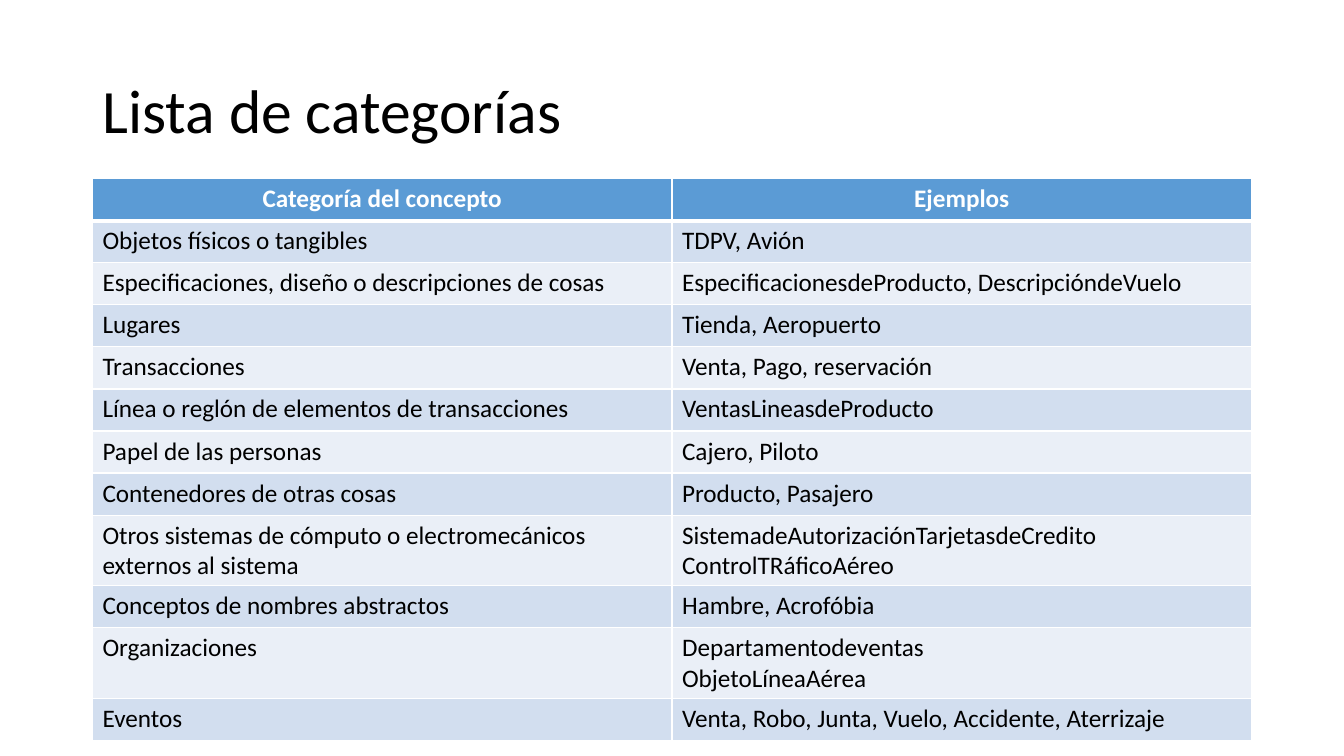
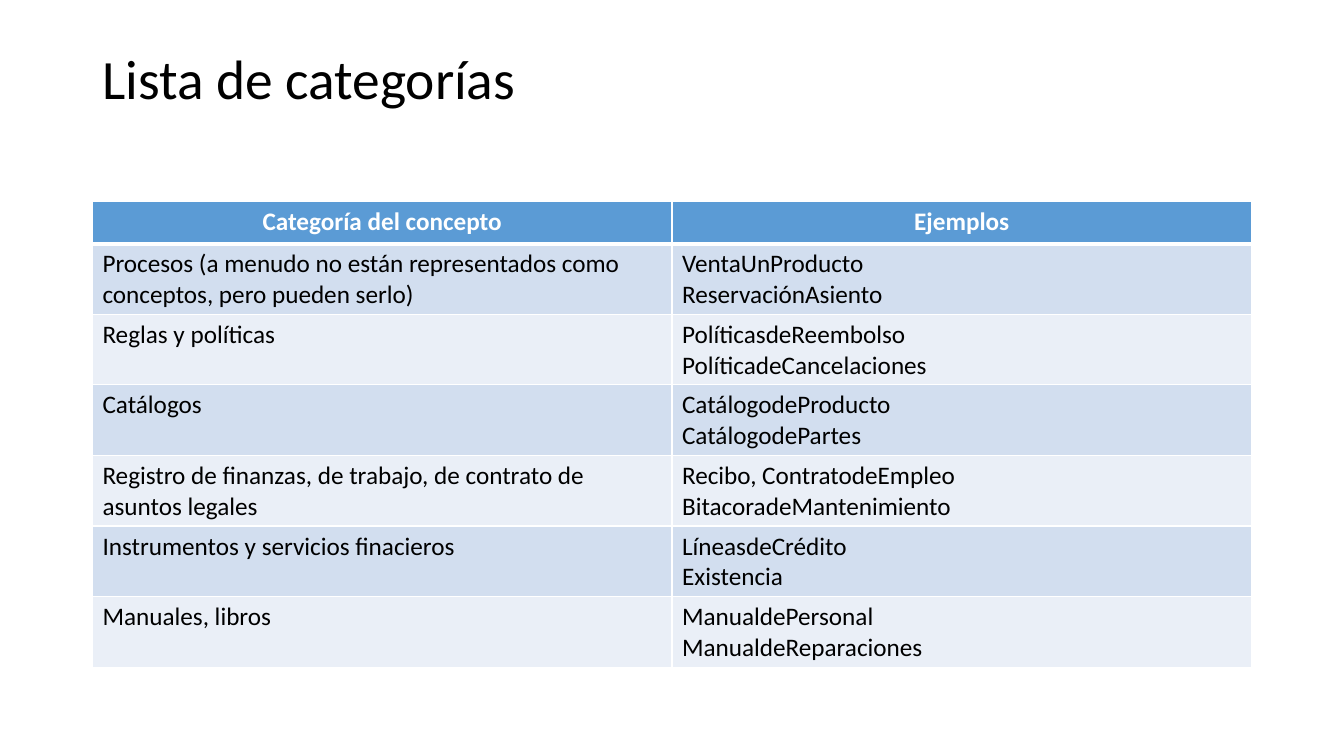
import pptx
import pptx.dml.color
import pptx.enum.text
import pptx.oxml
import pptx.oxml.ns
import pptx.util
from pptx.util import Cm

RGBColor = pptx.dml.color.RGBColor
PP_ALIGN = pptx.enum.text.PP_ALIGN

BLACK = RGBColor(0x00, 0x00, 0x00)
WHITE = RGBColor(0xFF, 0xFF, 0xFF)
HEADER_BLUE = RGBColor(0x5B, 0x9B, 0xD5)
BAND_DARK = RGBColor(0xD2, 0xDE, 0xEF)
BAND_LIGHT = RGBColor(0xEA, 0xEF, 0xF7)

TITLE = "Lista de categorías"
HEADER = ("Categoría del concepto", "Ejemplos")

# A line break in a cell starts a new paragraph
FIRST_ROWS = [
    ("Objetos físicos o tangibles", "TDPV, Avión"),
    ("Especificaciones, diseño o descripciones de cosas",
     "EspecificacionesdeProducto, DescripcióndeVuelo"),
    ("Lugares", "Tienda, Aeropuerto"),
    ("Transacciones", "Venta, Pago, reservación"),
    ("Línea o reglón de elementos de transacciones", "VentasLineasdeProducto"),
    ("Papel de las personas", "Cajero, Piloto"),
    ("Contenedores de otras cosas", "Producto, Pasajero"),
    ("Otros sistemas de cómputo o electromecánicos externos al sistema",
     "SistemadeAutorizaciónTarjetasdeCredito\nControlTRáficoAéreo"),
    ("Conceptos de nombres abstractos", "Hambre, Acrofóbia"),
    ("Organizaciones", "Departamentodeventas\nObjetoLíneaAérea"),
    ("Eventos", "Venta, Robo, Junta, Vuelo, Accidente, Aterrizaje"),
]
SECOND_ROWS = [
    ("Procesos (a menudo no están representados como conceptos, pero pueden serlo)",
     "VentaUnProducto\nReservaciónAsiento"),
    ("Reglas y políticas", "PolíticasdeReembolso\nPolíticadeCancelaciones"),
    ("Catálogos", "CatálogodeProducto\nCatálogodePartes"),
    ("Registro de finanzas, de trabajo, de contrato de asuntos legales",
     "Recibo, ContratodeEmpleo\nBitacoradeMantenimiento"),
    ("Instrumentos y servicios finacieros", "LíneasdeCrédito\nExistencia"),
    ("Manuales, libros", "ManualdePersonal\nManualdeReparaciones"),
]


def write_text(frame, text, size=18, color=BLACK, bold=False,
               align=PP_ALIGN.LEFT, line_spacing=None):
    """Fill a text frame, one paragraph for each line of text."""
    frame.text = text
    for paragraph in frame.paragraphs:
        paragraph.alignment = align
        paragraph.line_spacing = line_spacing
        font = paragraph.font
        for run in paragraph.runs:
            font = run.font
            font.name = "Calibri"
            font.size = pptx.util.Pt(size)
            font.bold = bold
            font.color.rgb = color


def set_borders(cell, **widths):
    """Draw white borders; widths are points keyed by L, R, T and B."""
    properties = cell._tc.get_or_add_tcPr()
    for side, width in widths.items():
        properties.append(pptx.oxml.parse_xml(
            f'<a:ln{side} {pptx.oxml.ns.nsdecls("a")} w="{pptx.util.Pt(width)}">'
            f'<a:solidFill><a:srgbClr val="{WHITE}"/></a:solidFill></a:ln{side}>'))


class Deck:
    left, width = Cm(2.33), Cm(29.21)
    row_height = Cm(1.06)

    def __init__(self):
        self.presentation = pptx.Presentation()
        self.presentation.slide_width = Cm(33.87)
        self.presentation.slide_height = Cm(19.05)
        self.slide = None

    def add_slide(self):
        blank = self.presentation.slide_layouts[6]
        self.slide = self.presentation.slides.add_slide(blank)

    def add_title(self, text, size=44, bottom_margin=Cm(0.13)):
        box = self.slide.shapes.add_textbox(self.left, Cm(1.02), self.width, Cm(3.68))
        frame = box.text_frame
        frame.word_wrap = True
        frame.vertical_anchor = pptx.enum.text.MSO_ANCHOR.MIDDLE
        frame.margin_bottom = bottom_margin
        write_text(frame, text, size=size, line_spacing=0.9)

    def add_category_table(self, rows, top):
        all_rows = [HEADER, *rows]
        table = self.slide.shapes.add_table(
            len(all_rows), len(HEADER), self.left, top,
            self.width, self.row_height * len(all_rows)).table
        for row_index, texts in enumerate(all_rows):
            table.rows[row_index].height = self.row_height
            is_header = row_index == 0
            for column_index, text in enumerate(texts):
                cell = table.cell(row_index, column_index)
                # The rule below the header is thicker
                set_borders(cell, L=1, R=1, T=3 if row_index == 1 else 1,
                            B=3 if is_header else 1)
                cell.fill.solid()
                if is_header:
                    cell.fill.fore_color.rgb = HEADER_BLUE
                    write_text(cell.text_frame, text, color=WHITE, bold=True,
                               align=PP_ALIGN.CENTER)
                else:
                    cell.fill.fore_color.rgb = BAND_DARK if row_index % 2 else BAND_LIGHT
                    write_text(cell.text_frame, text)


def main():
    deck = Deck()

    # Categories, first part
    deck.add_slide()
    deck.add_title(TITLE)
    deck.add_category_table(FIRST_ROWS, top=Cm(4.5))

    # Categories, second part: the title sits higher
    deck.add_slide()
    deck.add_title(TITLE, size=39.6, bottom_margin=Cm(1.75))
    deck.add_category_table(SECOND_ROWS, top=Cm(5.08))

    deck.presentation.save("out.pptx")


if __name__ == "__main__":
    main()
